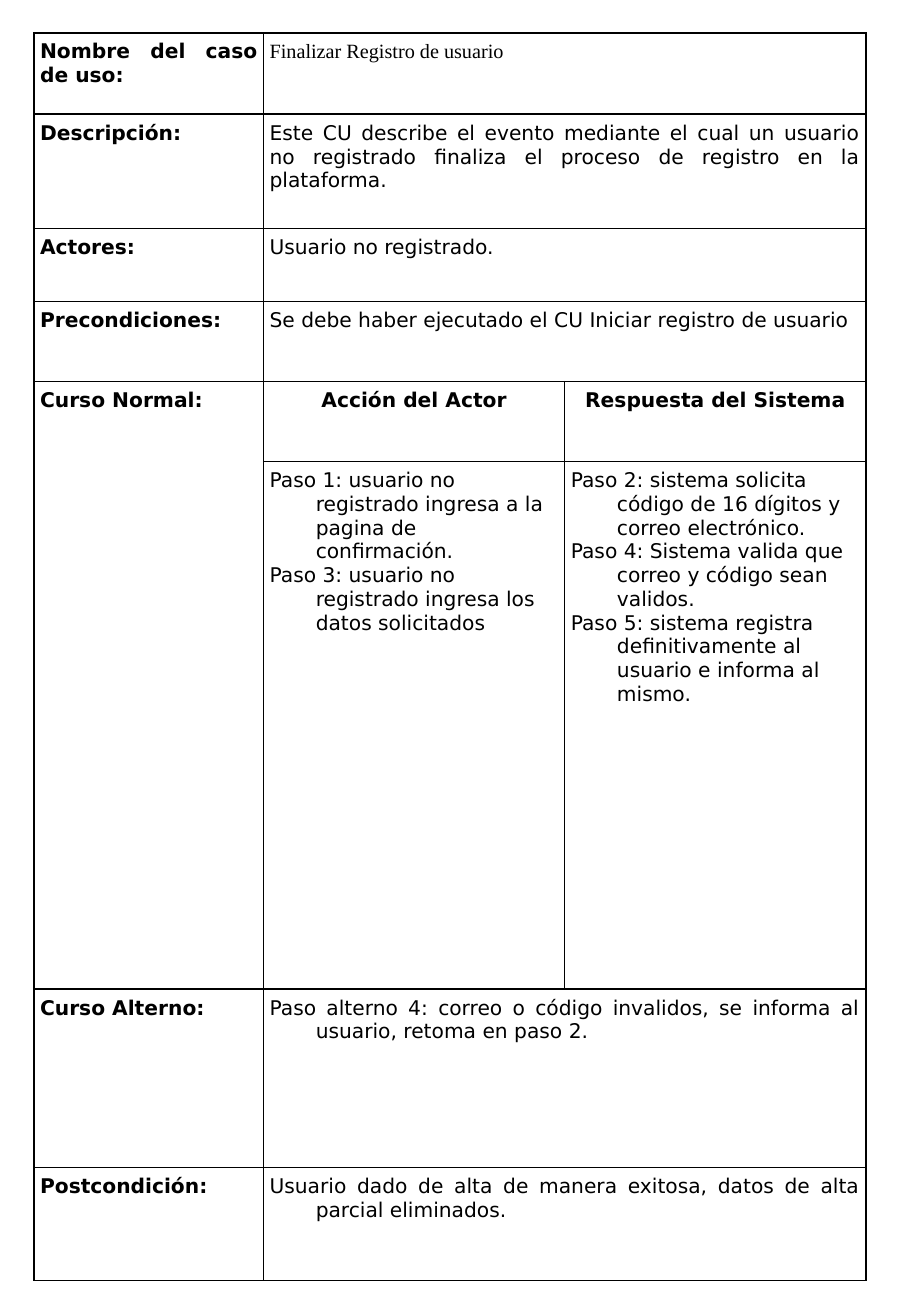
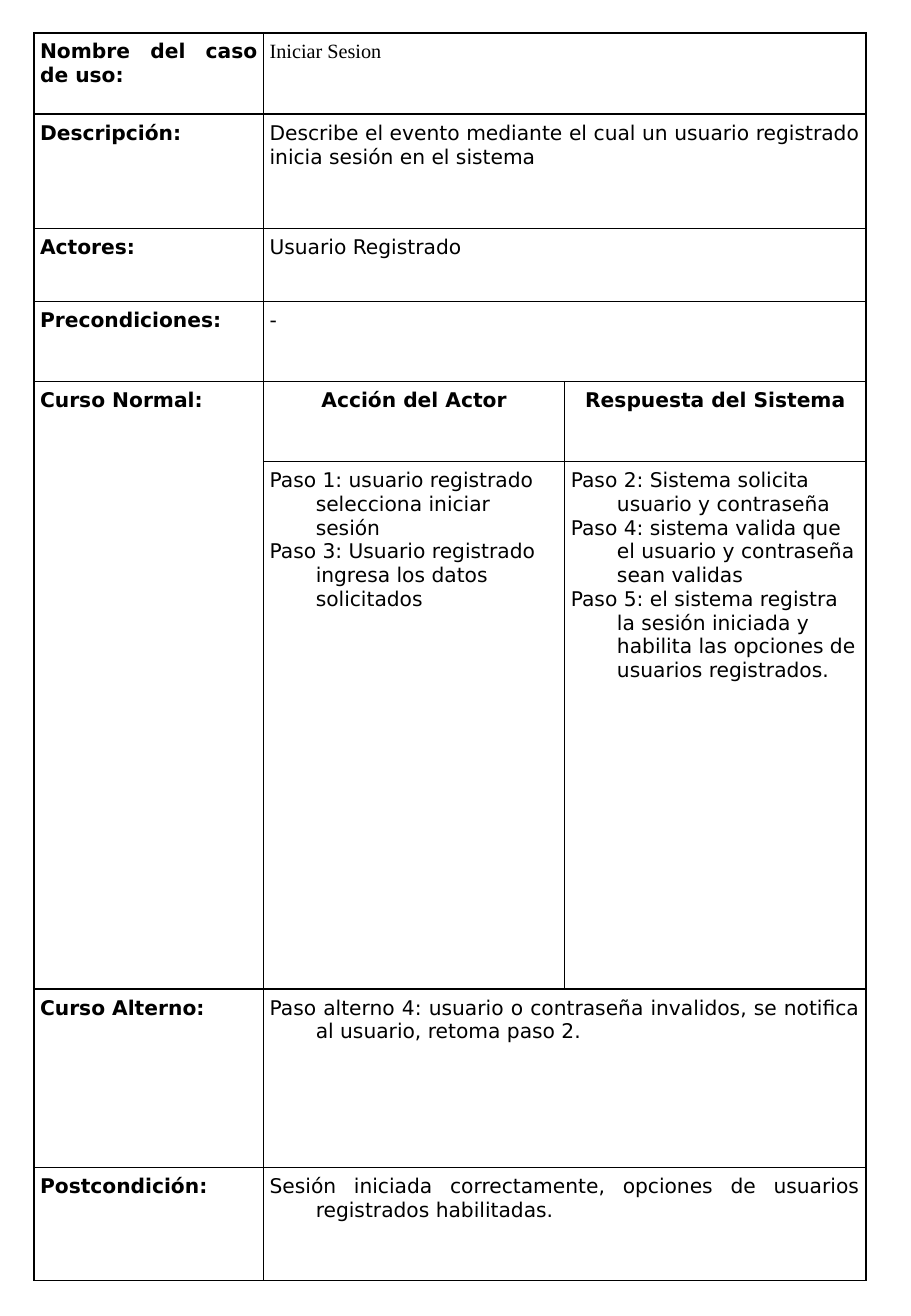
from dataclasses import dataclass

from lxml.etree import SubElement
from pptx import Presentation
from pptx.dml.color import RGBColor
from pptx.enum.text import MSO_ANCHOR as Anchor, PP_ALIGN as Align
from pptx.oxml.ns import qn
from pptx.presentation import Presentation as Deck
from pptx.table import Table, _Cell as Cell
from pptx.util import Inches, Pt

BLACK = "000000"
BODY_FONT = "DejaVu Sans"
NAME_FONT = "Times New Roman"
COLUMN_WIDTHS = (1.89, 2.48, 2.48)
ROW_HEIGHTS = (0.67, 0.94, 0.6, 0.66, 0.66, 4.34, 1.47, 0.93)
HANGING_INDENT = 0.38
LABELS = {
    0: "Nombre del caso de uso:",
    1: "Descripción:",
    2: "Actores:",
    3: "Precondiciones:",
    4: "Curso Normal:",
    6: "Curso Alterno:",
    7: "Postcondición:",
}
COURSE_ROW = 4
STEPS_ROW = 5


@dataclass(frozen=True)
class UseCase:
    name: str
    description: str
    actors: str
    preconditions: str
    actor_steps: tuple[str, ...]
    system_steps: tuple[str, ...]
    alternate_course: str
    postcondition: str


USE_CASES = (
    UseCase(
        name="Finalizar Registro de usuario",
        description="Este CU describe el evento mediante el cual un usuario no registrado "
        "finaliza el proceso de registro en la plataforma.",
        actors="Usuario no registrado.",
        preconditions="Se debe haber ejecutado el CU Iniciar registro de usuario",
        actor_steps=(
            "Paso 1: usuario no registrado ingresa a la pagina de confirmación.",
            "Paso 3: usuario no registrado ingresa los datos solicitados",
        ),
        system_steps=(
            "Paso 2: sistema solicita código de 16 dígitos y correo electrónico.",
            "Paso 4: Sistema valida que correo y código sean validos.",
            "Paso 5: sistema registra definitivamente al usuario e informa al mismo.",
        ),
        alternate_course="Paso alterno 4: correo o código invalidos, se informa al usuario, "
        "retoma en paso 2.",
        postcondition="Usuario dado de alta de manera exitosa, datos de alta parcial eliminados.",
    ),
    UseCase(
        name="Iniciar Sesion",
        description="Describe el evento mediante el cual un usuario registrado inicia sesión "
        "en el sistema",
        actors="Usuario Registrado",
        preconditions="-",
        actor_steps=(
            "Paso 1: usuario registrado selecciona iniciar sesión",
            "Paso 3: Usuario registrado ingresa los datos solicitados",
        ),
        system_steps=(
            "Paso 2: Sistema solicita usuario y contraseña",
            "Paso 4: sistema valida que el usuario y contraseña sean validas",
            "Paso 5: el sistema registra la sesión iniciada y habilita las opciones de "
            "usuarios registrados.",
        ),
        alternate_course="Paso alterno 4: usuario o contraseña invalidos, se notifica al usuario, "
        "retoma paso 2.",
        postcondition="Sesión iniciada correctamente, opciones de usuarios registrados habilitadas.",
    ),
)


def color(value: str) -> RGBColor:
    return RGBColor.from_string(value)


def style_cell(cell: Cell) -> None:
    cell.margin_left = cell.margin_right = Inches(0.05)
    cell.margin_top = cell.margin_bottom = Inches(0.06)
    cell.vertical_anchor = Anchor.TOP
    properties = cell._tc.get_or_add_tcPr()
    for side in ("a:lnL", "a:lnR", "a:lnT", "a:lnB"):
        border = SubElement(properties, qn(side), w=str(Pt(1)))
        fill = SubElement(border, qn("a:solidFill"))
        SubElement(fill, qn("a:srgbClr"), val=str(color(BLACK)))
    cell.fill.background()


def write(cell: Cell, *lines: str, bold: bool = False, font: str = BODY_FONT,
          align: Align = Align.JUSTIFY, hanging: bool = False) -> None:
    cell.text_frame.text = "\n".join(lines)
    for paragraph in cell.text_frame.paragraphs:
        paragraph.alignment = align
        if hanging:
            properties = paragraph._p.get_or_add_pPr()
            properties.set("marL", str(Inches(HANGING_INDENT)))
            properties.set("indent", str(Inches(-HANGING_INDENT)))
        for run in paragraph.runs:
            run.font.size = Pt(12)
            run.font.name = font
            run.font.bold = bold
            run.font.color.rgb = color(BLACK)


def add_grid(presentation: Deck) -> Table:
    slide = presentation.slides.add_slide(presentation.slide_layouts[6])
    table = slide.shapes.add_table(
        len(ROW_HEIGHTS), len(COLUMN_WIDTHS), Inches(0.28), Inches(0.27),
        Inches(sum(COLUMN_WIDTHS)), Inches(sum(ROW_HEIGHTS)),
    ).table
    table.first_row = table.horz_banding = False
    for column, width in zip(table.columns, COLUMN_WIDTHS):
        column.width = Inches(width)
    for row, height in zip(table.rows, ROW_HEIGHTS):
        row.height = Inches(height)
    for cell in table.iter_cells():
        style_cell(cell)
    return table


def add_use_case(presentation: Deck, case: UseCase) -> None:
    table = add_grid(presentation)
    for row, label in LABELS.items():
        write(table.cell(row, 0), label, bold=True, hanging=row >= COURSE_ROW)
    table.cell(COURSE_ROW, 0).merge(table.cell(STEPS_ROW, 0))

    values = {
        0: case.name,
        1: case.description,
        2: case.actors,
        3: case.preconditions,
        6: case.alternate_course,
        7: case.postcondition,
    }
    for row, value in values.items():
        cell = table.cell(row, 1)
        cell.merge(table.cell(row, 2))
        write(cell, value, font=NAME_FONT if row == 0 else BODY_FONT, hanging=row > STEPS_ROW)

    courses = (
        ("Acción del Actor", case.actor_steps),
        ("Respuesta del Sistema", case.system_steps),
    )
    for column, (heading, steps) in enumerate(courses, start=1):
        write(table.cell(COURSE_ROW, column), heading, bold=True, align=Align.CENTER, hanging=True)
        write(table.cell(STEPS_ROW, column), *steps, align=Align.LEFT, hanging=True)


def main() -> None:
    presentation = Presentation()
    presentation.slide_width = Inches(7.5)
    presentation.slide_height = Inches(10.83)
    for case in USE_CASES:
        add_use_case(presentation, case)
    presentation.save("out.pptx")


if __name__ == "__main__":
    main()
